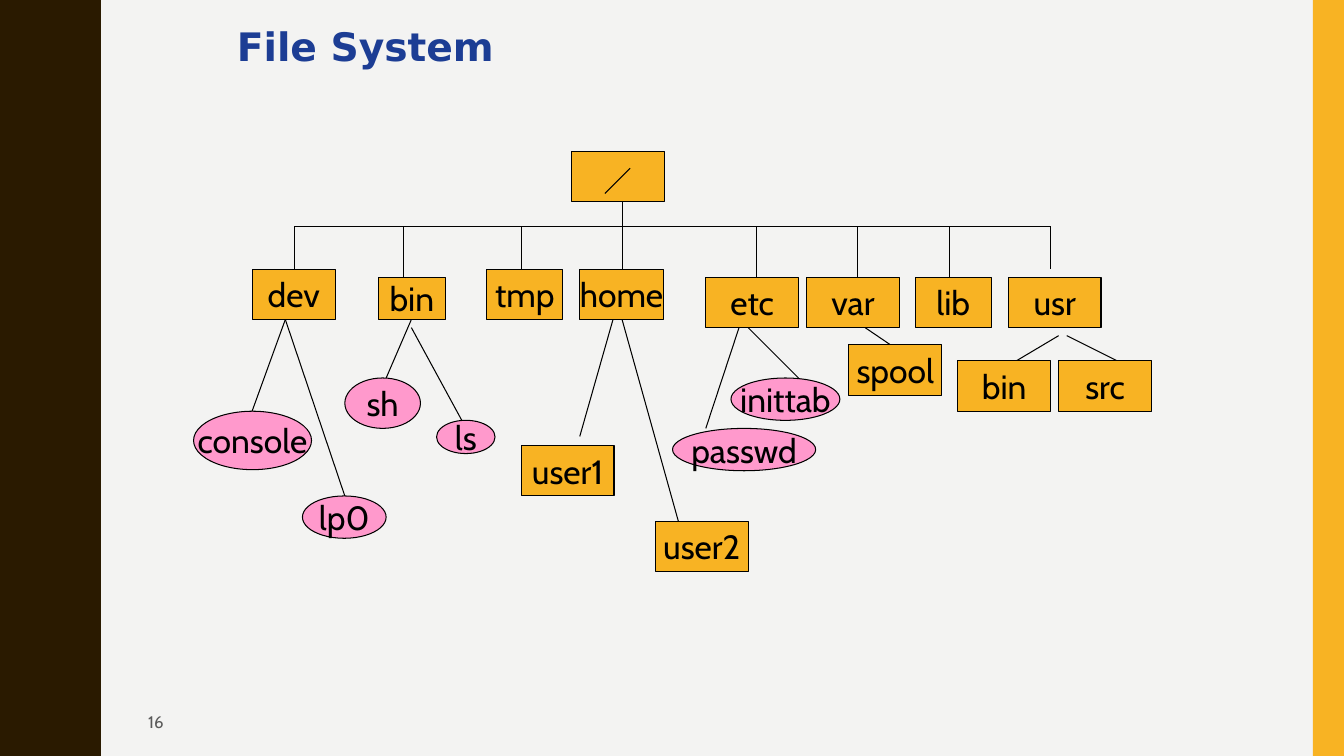
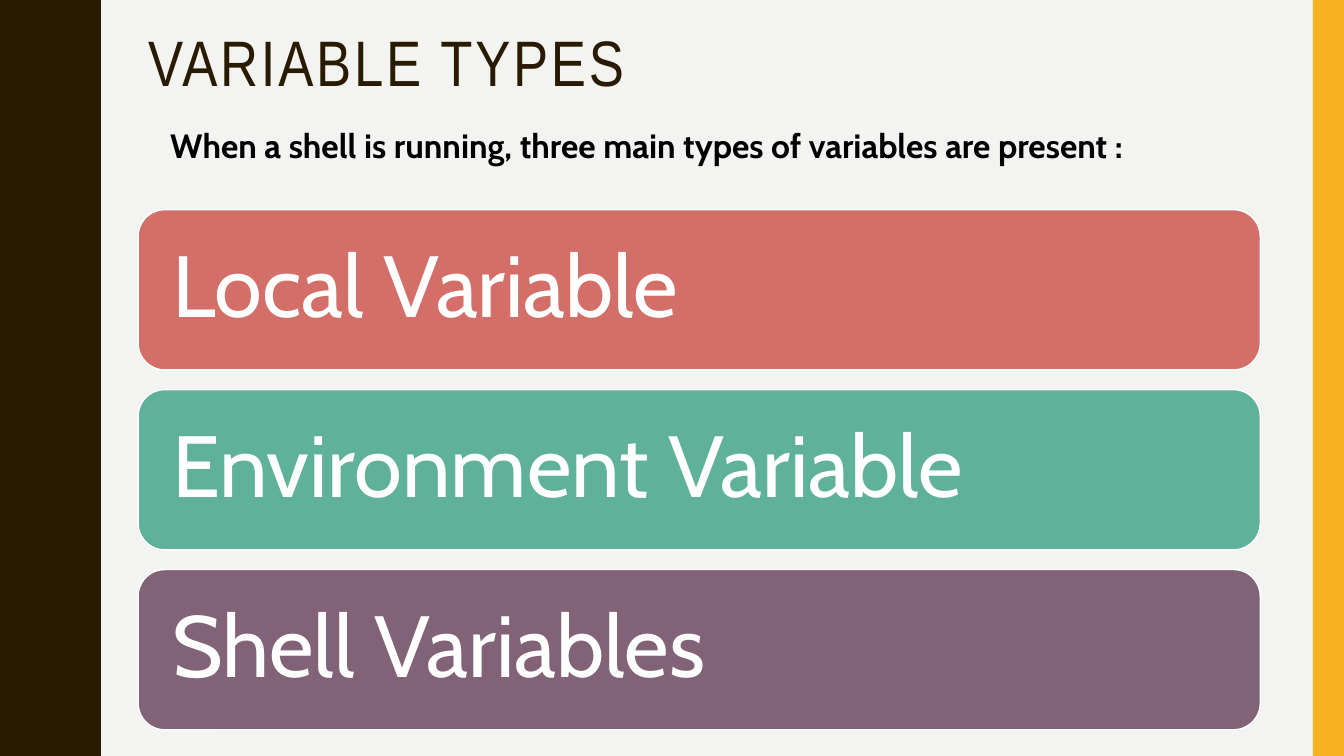
from pptx import Presentation
from pptx.dml.color import RGBColor
from pptx.enum.shapes import MSO_CONNECTOR, MSO_SHAPE
from pptx.enum.text import MSO_ANCHOR, MSO_AUTO_SIZE, PP_ALIGN
from pptx.oxml.ns import qn
from pptx.util import Inches, Pt
from lxml import etree

RECTANGLE = MSO_SHAPE.RECTANGLE
ROUNDED = MSO_SHAPE.ROUNDED_RECTANGLE
OVAL = MSO_SHAPE.OVAL
STRAIGHT = MSO_CONNECTOR.STRAIGHT
TOP = MSO_ANCHOR.TOP
MIDDLE = MSO_ANCHOR.MIDDLE
LEFT = PP_ALIGN.LEFT
CENTER = PP_ALIGN.CENTER
NO_AUTOFIT = MSO_AUTO_SIZE.NONE

COLORS = {
    "paper": "F3F3F2",
    "brown": "2A1A00",
    "gold": "F8B323",
    "pink": "FF99CC",
    "black": "000000",
    "white": "FFFFFF",
    "gray": "595959",
    "blue": "1C3D94",
    "red": "D36F68",
    "green": "5FB19A",
    "purple": "826276",
}
BODY_FONT = "Cabin"
SLIDE_WIDTH, SLIDE_HEIGHT = 13.33, 7.5

WAVE_PERIOD = 1.5
WAVE_HALF = [
    (0, 0.78), (0.07, 0.78), (0.14, 0.79), (0.2, 0.8), (0.25, 0.81),
    (0.29, 0.83), (0.33, 0.85), (0.38, 0.87), (0.42, 0.89), (0.46, 0.91),
    (0.5, 0.93), (0.55, 0.95), (0.61, 0.96), (0.68, 0.97), (0.75, 0.97),
]

BUS_TOP = 2.25
BUS_DROPS = [
    (2.92, 2.75), (4, 2.75), (5.17, 2.67), (6.17, 2.75),
    (7.5, 2.75), (8.5, 2.83), (9.42, 2.75), (10.42, 2.67),
]
BRANCHES = [
    (2.83, 3.17, 2.5, 4.08), (2.83, 3.17, 3.42, 4.92),
    (4.08, 3.17, 3.83, 3.75), (4.08, 3.25, 4.58, 4.17),
    (6.08, 3.17, 5.75, 4.33), (6.17, 3.17, 6.75, 5.25),
    (7.33, 3.25, 7, 4.25), (7.42, 3.25, 7.92, 3.75),
    (8.58, 3.25, 8.83, 3.42),
    (10.5, 3.33, 10.08, 3.58), (10.58, 3.33, 11.08, 3.58),
]
DIRECTORIES = [
    ("", 5.67, 1.5, 0.92, 0.5),
    ("dev", 2.5, 2.67, 0.83, 0.5),
    ("bin", 3.75, 2.75, 0.67, 0.42),
    ("tmp", 4.83, 2.67, 0.75, 0.5),
    ("home", 5.75, 2.67, 0.83, 0.5),
    ("etc", 7, 2.75, 0.92, 0.5),
    ("var", 8, 2.75, 0.92, 0.5),
    ("lib", 9.08, 2.75, 0.75, 0.5),
    ("usr", 10, 2.75, 0.92, 0.5),
    ("user1", 5.17, 4.42, 0.92, 0.5),
    ("user2", 6.5, 5.17, 0.92, 0.5),
    ("spool", 8.42, 3.42, 0.92, 0.5),
    ("bin", 9.5, 3.58, 0.92, 0.5),
    ("src", 10.5, 3.58, 0.92, 0.5),
]
FILES = [
    ("console", 1.92, 4.08, 1.17, 0.58),
    ("lp0", 3, 4.92, 0.83, 0.42),
    ("sh", 3.42, 3.75, 0.75, 0.5),
    ("ls", 4.33, 4.17, 0.58, 0.33),
    ("passwd", 6.67, 4.25, 1.42, 0.42),
    ("inittab", 7.25, 3.75, 1.08, 0.42),
]
VARIABLE_TYPES = [
    ("Local Variable", "red"),
    ("Environment Variable", "green"),
    ("Shell Variables", "purple"),
]


def rgb(name):
    return RGBColor.from_string(COLORS[name])


def inches(values):
    return [Inches(value) for value in values]


def write(shape, text, size, color, font=BODY_FONT, bold=False,
          align=LEFT, anchor=TOP, wrap=True):
    frame = shape.text_frame
    frame.auto_size = NO_AUTOFIT
    frame.word_wrap = wrap
    frame.vertical_anchor = anchor
    para = frame.paragraphs[0]
    para.text = text
    para.alignment = align
    para.font.name = font
    para.font.size = Pt(size)
    para.font.bold = bold
    para.font.color.rgb = rgb(color)
    return para


def paint(shape, fill, line=None, width=0.75):
    shape.shadow.inherit = False
    shape.fill.solid()
    shape.fill.fore_color.rgb = rgb(fill)
    if line:
        shape.line.color.rgb = rgb(line)
        shape.line.width = Pt(width)
    else:
        shape.line.fill.background()


def add_box(page, kind, place, fill, line=None, width=0.75):
    box = page.shapes.add_shape(kind, *inches(place))
    paint(box, fill, line, width)
    return box


def add_text(page, place, text, size, color, **style):
    box = page.shapes.add_textbox(*inches(place))
    write(box, text, size, color, **style)


def add_line(page, *ends):
    line = page.shapes.add_connector(STRAIGHT, *inches(ends))
    line.line.color.rgb = rgb("black")
    line.line.width = Pt(0.75)
    etree.SubElement(line.element.find(qn("p:spPr")), qn("a:effectLst"))


def add_node(page, kind, fill, name, *place):
    node = add_box(page, kind, place, fill, "black")
    if name:
        write(node, name, 24, "black", align=CENTER, anchor=MIDDLE, wrap=False)


def add_wave(page):
    crest = [(WAVE_PERIOD - y, x) for y, x in reversed(WAVE_HALF[:-1])]
    edge = [
        (x, period * WAVE_PERIOD + y)
        for period in range(round(SLIDE_HEIGHT / WAVE_PERIOD))
        for y, x in WAVE_HALF + crest
    ]
    outline = page.shapes.build_freeform(0, 0, scale=Inches(1))
    outline.add_line_segments(edge + [(0, SLIDE_HEIGHT)], close=True)
    paint(outline.convert_to_shape(), "brown")


def add_page(deck, title, place, size, color, **style):
    page = deck.slides.add_slide(deck.slide_layouts.get_by_name("Title Only"))
    add_wave(page)
    add_box(page, RECTANGLE, (13.02, 0, 0.31, SLIDE_HEIGHT), "gold")
    heading = page.shapes.title
    heading.left, heading.top, heading.width, heading.height = inches(place)
    return page, write(heading, title, size, color, **style)


def add_file_system(deck):
    page, _ = add_page(deck, "File System", (2.25, 0.17, 8.75, 0.92), 28,
                       "blue", font="DejaVu Sans", bold=True)
    add_text(page, (1.37, 6.97, 2.55, 0.38), "16", 12, "gray", anchor=MIDDLE)
    add_line(page, BUS_DROPS[0][0], BUS_TOP, BUS_DROPS[-1][0], BUS_TOP)
    add_line(page, 6.17, 2, 6.17, BUS_TOP)
    for x, bottom in BUS_DROPS:
        add_line(page, x, BUS_TOP, x, bottom)
    for ends in BRANCHES:
        add_line(page, *ends)
    for directory in DIRECTORIES:
        add_node(page, RECTANGLE, "gold", *directory)
    for file in FILES:
        add_node(page, OVAL, "pink", *file)
    add_line(page, 6.25, 1.67, 6, 1.92)


def add_variable_types(deck):
    page, heading = add_page(deck, "VARIABLE TYPES", (1.37, 0.26, 11.13, 1.12),
                             45.9, "brown", font="Arial Narrow")
    heading.line_spacing = 0.9
    for properties in page.shapes.title.element.iter(qn("a:defRPr")):
        properties.set("spc", "200")
    add_text(page, (1.59, 1.19, 10.67, 0.5),
             "When a shell is running, three main types of variables are present :",
             24, "black", bold=True)
    for index, (name, color) in enumerate(VARIABLE_TYPES):
        place = (1.37, 2.08 + index * 1.785, 11.13, 1.59)
        card = add_box(page, ROUNDED, place, color, "white", 1)
        para = write(card, name, 62, "white", anchor=MIDDLE)
        para.line_spacing = 0.9
        frame = card.text_frame
        frame.margin_left = frame.margin_right = Inches(0.26)
        frame.margin_top = frame.margin_bottom = Inches(0.26)


def main():
    deck = Presentation()
    deck.slide_width = Inches(SLIDE_WIDTH)
    deck.slide_height = Inches(SLIDE_HEIGHT)
    background = deck.slide_master.background.fill
    background.solid()
    background.fore_color.rgb = rgb("paper")
    add_file_system(deck)
    add_variable_types(deck)
    deck.save("out.pptx")


if __name__ == "__main__":
    main()
